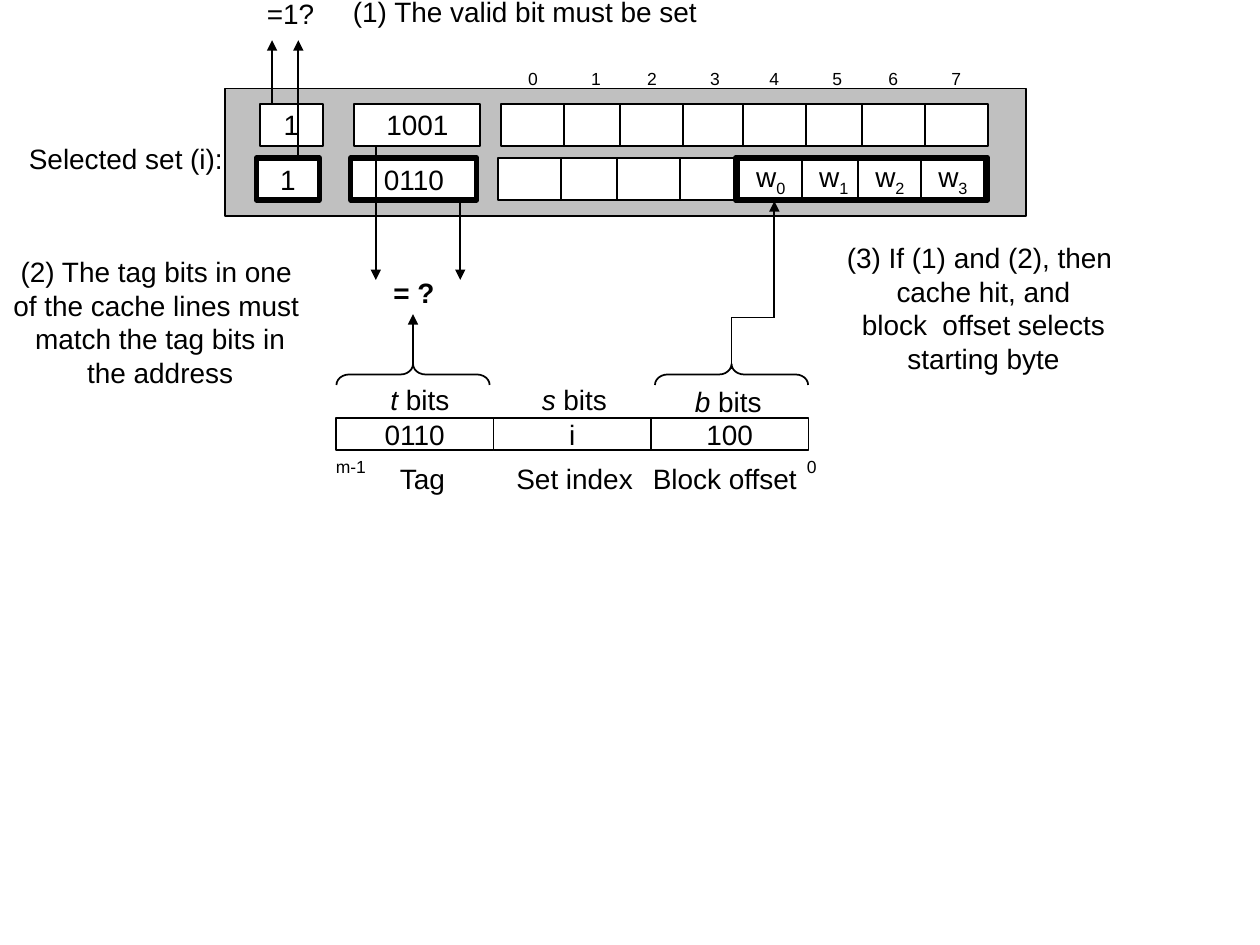
from dataclasses import dataclass

from lxml import etree
from pptx import Presentation
from pptx.dml.color import RGBColor
from pptx.enum.shapes import MSO_CONNECTOR, MSO_SHAPE
from pptx.enum.text import MSO_ANCHOR, MSO_AUTO_SIZE, PP_ALIGN
from pptx.oxml.ns import qn
from pptx.util import Pt

RECT, BRACE = MSO_SHAPE.RECTANGLE, MSO_SHAPE.LEFT_BRACE
STRAIGHT = MSO_CONNECTOR.STRAIGHT
CENTER, LEFT = PP_ALIGN.CENTER, PP_ALIGN.LEFT
MIDDLE, TOP = MSO_ANCHOR.MIDDLE, MSO_ANCHOR.TOP
GROW = MSO_AUTO_SIZE.SHAPE_TO_FIT_TEXT

COLORS = {"ink": "000000", "cell": "FFFFFF", "set": "C0C0C0"}
FONT = "Arial"
THIN, THICK = 1, 3


@dataclass(frozen=True)
class Box:
    left: float
    top: float
    width: float
    height: float


@dataclass(frozen=True)
class Arrow:
    x1: float
    y1: float
    x2: float
    y2: float
    tipped: bool = True


@dataclass(frozen=True)
class Label:
    box: Box
    text: str
    size: float = 16
    bold: bool = False
    italic_lead: str = ""
    align: PP_ALIGN = CENTER
    anchor: MSO_ANCHOR = MIDDLE
    wrap: bool = False
    grow: bool = True


def color(name: str) -> RGBColor:
    return RGBColor.from_string(COLORS[name])


def write_text(frame, text: str, *, size: float = 16, bold: bool = False,
               italic_lead: str = "", subscript: str = "",
               align: PP_ALIGN = CENTER, anchor: MSO_ANCHOR = MIDDLE,
               wrap: bool = False, grow: bool = False) -> None:
    frame.word_wrap = wrap
    frame.vertical_anchor = anchor
    if grow:
        frame.auto_size = GROW
    for number, line in enumerate(text.split("\n")):
        paragraph = frame.add_paragraph() if number else frame.paragraphs[0]
        paragraph.alignment = align
        for part in (italic_lead, line, subscript):
            if not part:
                continue
            run = paragraph.add_run()
            run.text = part
            run.font.name, run.font.size = FONT, Pt(size)
            run.font.bold = bold
            run.font.italic = part is italic_lead
            run.font.color.rgb = color("ink")
            if part is subscript:
                run._r.get_or_add_rPr().set("baseline", "-25000")


def draw_box(shapes, box: Box, fill: str = "", weight: float = THIN,
             kind: MSO_SHAPE = RECT):
    shape = shapes.add_shape(kind, Pt(box.left), Pt(box.top),
                             Pt(box.width), Pt(box.height))
    shape.shadow.inherit = False
    if fill:
        shape.fill.solid()
        shape.fill.fore_color.rgb = color(fill)
    else:
        shape.fill.background()
    shape.line.color.rgb = color("ink")
    shape.line.width = Pt(weight)
    return shape


def draw_brace(shapes, center: float, top: float, span: float, depth: float) -> None:
    box = Box(center - depth / 2, top + depth / 2 - span / 2, depth, span)
    brace = draw_box(shapes, box, kind=BRACE)
    brace.rotation = 90
    brace.adjustments[0] = 0.6


def draw_arrow(shapes, arrow: Arrow) -> None:
    line = shapes.add_connector(STRAIGHT, Pt(arrow.x1), Pt(arrow.y1),
                                Pt(arrow.x2), Pt(arrow.y2))
    line.line.color.rgb = color("ink")
    line.line.width = Pt(THIN)
    if arrow.tipped:
        etree.SubElement(line.line._get_or_add_ln(), qn("a:tailEnd"), type="triangle")
    etree.SubElement(line._element.spPr, qn("a:effectLst"))


def draw_label(shapes, label: Label) -> None:
    box = label.box
    holder = shapes.add_textbox(Pt(box.left), Pt(box.top), Pt(box.width), Pt(box.height))
    write_text(holder.text_frame, label.text, size=label.size, bold=label.bold,
               italic_lead=label.italic_lead, align=label.align,
               anchor=label.anchor, wrap=label.wrap, grow=label.grow)


# Cache lines: the lower one is the match and sits slightly to the left
LINE_HEIGHT, BYTE_WIDTH = 24, 36
UPPER_TOP, LOWER_TOP, LOWER_SHIFT = 59.25, 90.25, -2
VALID_LEFT, TAG_LEFT, TAG_WIDTH = 148.5, 202.5, 72
BYTE_LEFTS = [286.5, 322.5, 354.5, 390.5, 424.5, 460.5, 492.5, 528.5]
FIRST_WORD = 4

# Address fields
FIELD_LEFT, FIELD_TOP, FIELD_WIDTH, FIELD_HEIGHT = 192, 239, 90, 18
FIELD_BITS = ["0110", "i", "100"]

ARROWS = [
    Arrow(155.5, 59, 155.5, 23),
    Arrow(170.5, 90, 170.5, 23),
    Arrow(263, 113, 263, 160),
    Arrow(214.75, 83, 214.75, 160),
    Arrow(236, 208, 236, 179.5),
    Arrow(418, 211, 418, 182, tipped=False),
    Arrow(418, 181.5, 442.5, 181.5, tipped=False),
    Arrow(442.5, 181.5, 442.5, 115),
]

LABELS = [
    Label(Box(7, 77, 130, 26.5), "Selected set (i):"),
    Label(Box(143, -5.5, 46, 26.5), "=1?"),
    Label(Box(192, -7, 216, 26.5), "(1) The valid bit must be set"),
    Label(Box(215.5, 154, 42, 26.5), "= ?", bold=True),
    Label(Box(-38, 142, 259, 84),
          "(2) The tag bits in one \nof the cache lines must \n"
          "match the tag bits in\nthe address", wrap=True),
    Label(Box(448, 134, 228, 84),
          "(3) If (1) and (2), then \ncache hit, and\n"
          " block  offset selects \nstarting byte", wrap=True),
    Label(Box(184.5, 257, 32, 19.5), "m-1", size=10),
    Label(Box(454, 257, 19.5, 19.5), "0", size=10),
] + [
    Label(Box(left, top, width, 26), " bits", italic_lead=letter, align=LEFT, anchor=TOP)
    for letter, left, top, width in [("t", 216, 215, 48), ("s", 302.5, 215, 52),
                                     ("b", 390, 216, 52.5)]
] + [
    Label(Box(left, 260, width, 26), name, align=LEFT, anchor=TOP)
    for name, left, width in [("Tag", 221.5, 42), ("Set index", 288, 82),
                              ("Block offset", 366, 97)]
]


def draw_cache_line(shapes, top: float, shift: float, tag: str, matched: bool) -> None:
    weight = THICK if matched else THIN
    for left, width, bits in [(VALID_LEFT, BYTE_WIDTH, "1"), (TAG_LEFT, TAG_WIDTH, tag)]:
        cell = draw_box(shapes, Box(left + shift, top, width, LINE_HEIGHT), "cell", weight)
        write_text(cell.text_frame, bits)
    for index, left in enumerate(BYTE_LEFTS):
        cell = draw_box(shapes, Box(left + shift, top, BYTE_WIDTH, LINE_HEIGHT), "cell")
        if matched and index >= FIRST_WORD:
            write_text(cell.text_frame, "w", subscript=str(index - FIRST_WORD))
    if matched:
        draw_box(shapes, Box(420.5, top, 144, LINE_HEIGHT), weight=THICK)


def main() -> None:
    prs = Presentation()
    prs.slide_width, prs.slide_height = Pt(720), Pt(540)
    shapes = prs.slides.add_slide(prs.slide_layouts[6]).shapes

    # Selected set with its two lines and byte numbers
    draw_box(shapes, Box(128.5, 50.5, 458, 73), "set")
    draw_cache_line(shapes, LOWER_TOP, LOWER_SHIFT, "0110", matched=True)
    draw_cache_line(shapes, UPPER_TOP, 0, "1001", matched=False)
    for index, left in enumerate(BYTE_LEFTS):
        draw_label(shapes, Label(Box(left, 33, BYTE_WIDTH, LINE_HEIGHT), str(index),
                                 size=10, grow=False))

    # Address with braces over tag and block offset
    for index, bits in enumerate(FIELD_BITS):
        field = draw_box(shapes, Box(FIELD_LEFT + index * FIELD_WIDTH, FIELD_TOP,
                                     FIELD_WIDTH, FIELD_HEIGHT))
        write_text(field.text_frame, bits)
    for center in (236, 418):
        draw_brace(shapes, center, top=208, span=87.5, depth=12)

    # Comparisons and captions
    for arrow in ARROWS:
        draw_arrow(shapes, arrow)
    for label in LABELS:
        draw_label(shapes, label)

    prs.save("out.pptx")


if __name__ == "__main__":
    main()
